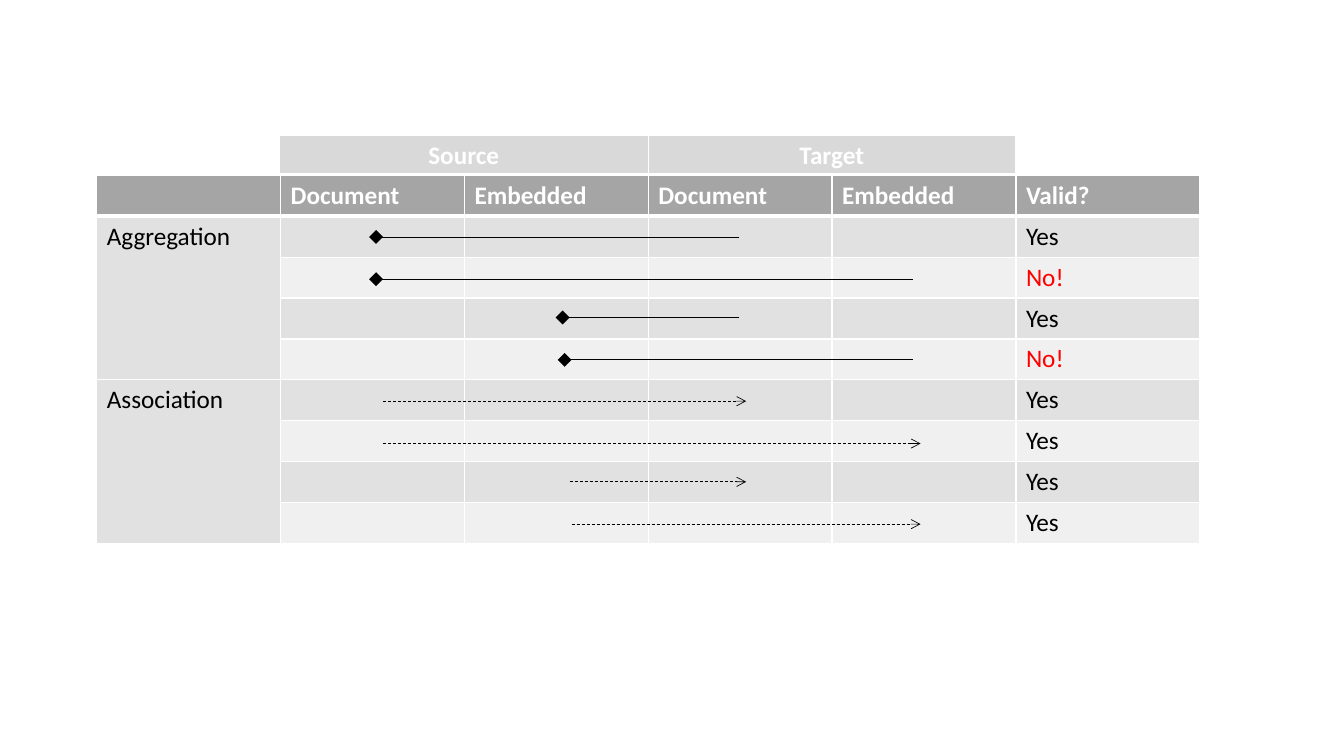
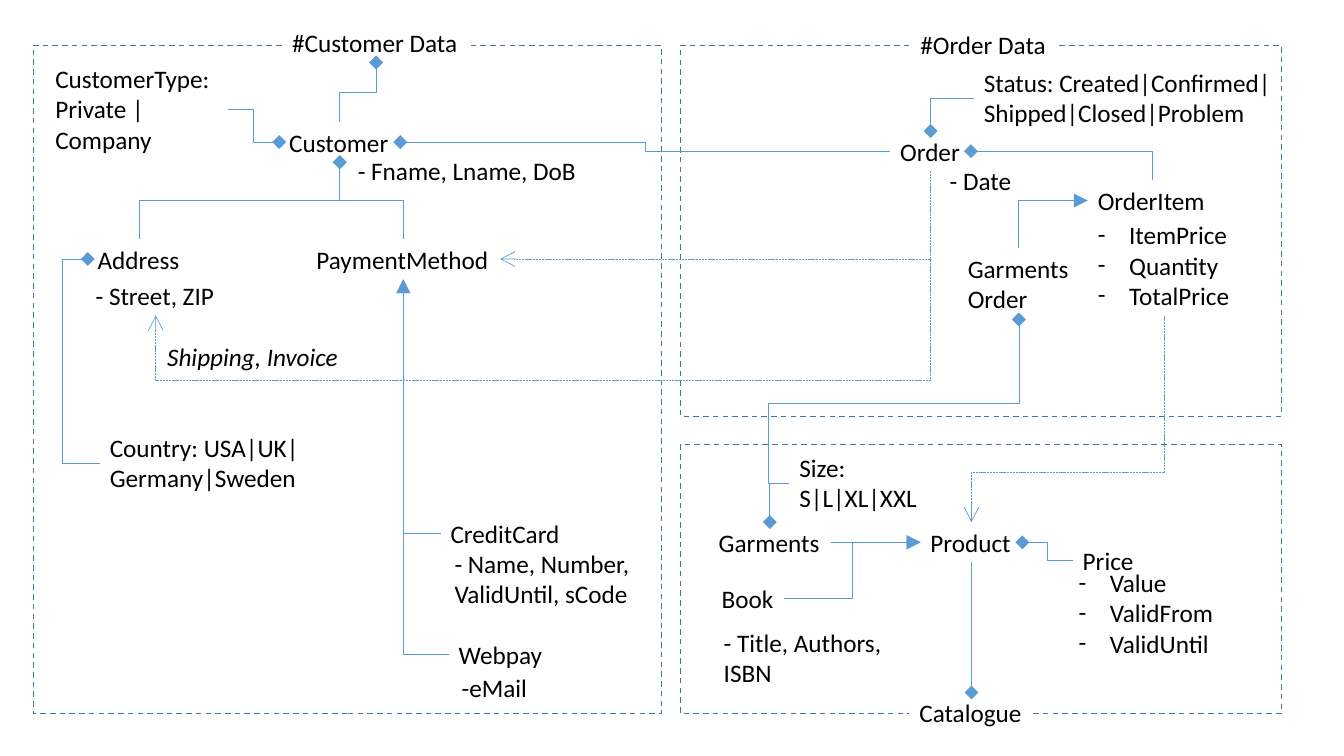
"""Build a table of valid relations and a data model diagram."""
from lxml.etree import SubElement
from pptx import Presentation
from pptx.dml.color import RGBColor
from pptx.enum.dml import MSO_LINE
from pptx.enum.shapes import MSO_CONNECTOR as CONNECTOR, MSO_SHAPE as SHAPE
from pptx.enum.text import MSO_ANCHOR as ANCHOR, MSO_AUTO_SIZE as AUTO_SIZE, PP_ALIGN as ALIGN
from pptx.oxml.ns import qn
from pptx.util import Inches, Pt

color = RGBColor.from_string
FONT = "Calibri"
BLACK, WHITE, RED = "000000", "FFFFFF", "FF0000"
HEADER, BAND, DARK_ROW, LIGHT_ROW = "A5A5A5", "D9D9D9", "E1E1E1", "F0F0F0"
LINK, PANEL = "5B9BD5", "43739E"


def write(frame, text, ink=BLACK, bold=False, italic=False, align=None, bullet=None):
    frame.text = text
    for paragraph in frame.paragraphs:
        paragraph.alignment = align
        if bullet:
            properties = paragraph._p.get_or_add_pPr()
            properties.set("marL", str(Inches(0.31)))
            properties.set("indent", str(-Inches(0.31)))
            SubElement(properties, qn("a:buFont")).set("typeface", FONT)
            SubElement(properties, qn("a:buChar")).set("char", bullet)
        for run in paragraph.runs:
            run.font.name, run.font.size = FONT, Pt(18)
            run.font.bold, run.font.italic = bold, italic
            run.font.color.rgb = color(ink)


def style_connector(connector, ink, dash=None, head=None, tail=None, size="lg"):
    connector.line.color.rgb = color(ink)
    connector.line.width = Pt(0.5)
    connector.line.dash_style = dash
    for tag, kind in (("a:headEnd", head), ("a:tailEnd", tail)):
        if kind:
            tip = SubElement(connector.line._get_or_add_ln(), qn(tag))
            tip.set("type", kind)
            tip.set("w", size)
            tip.set("len", size)
    SubElement(connector._element.spPr, qn("a:effectLst"))


presentation = Presentation()
presentation.slide_width, presentation.slide_height = Inches(13.33), Inches(7.5)
blank = presentation.slide_layouts[6]

slide = presentation.slides.add_slide(blank)
rows = [
    ["", "Document", "Embedded", "Document", "Embedded", "Valid?"],
    *[[name, "", "", "", "", valid]
      for name, valid in zip(
          ["Aggregation", "", "", "", "Association", "", "", ""],
          ["Yes", "No!", "Yes", "No!", "Yes", "Yes", "Yes", "Yes"])],
]
table = slide.shapes.add_table(
    9, 6, Inches(0.96), Inches(1.74), Inches(10.94), Inches(3.65)).table
table.first_row = table.horz_banding = False
for row_index, row in enumerate(rows):
    for column_index, text in enumerate(row):
        cell = table.cell(row_index, column_index)
        is_header = row_index == 0
        ink = WHITE if is_header else RED if text == "No!" else BLACK
        write(cell.text_frame, text, ink=ink, bold=is_header)
        for side in "LRTB":
            border = SubElement(cell._tc.get_or_add_tcPr(), qn("a:ln" + side))
            thick = (is_header and side == "B") or (row_index == 1 and side == "T")
            border.set("w", str(Pt(3 if thick else 1)))
            SubElement(SubElement(border, qn("a:solidFill")), qn("a:srgbClr")).set("val", WHITE)
        dark = row_index % 2 == 1 or column_index == 0
        cell.fill.solid()
        cell.fill.fore_color.rgb = color(HEADER if is_header else DARK_ROW if dark else LIGHT_ROW)
for first_row in (1, 5):
    table.cell(first_row, 0).merge(table.cell(first_row + 3, 0))

for text, left, width in (("Source", 2.77, 3.66), ("Target", 6.43, 3.64)):
    heading = slide.shapes.add_shape(
        SHAPE.RECTANGLE, Inches(left), Inches(1.34), Inches(width), Inches(0.38))
    heading.shadow.inherit = False
    heading.fill.solid()
    heading.fill.fore_color.rgb = color(BAND)
    heading.line.color.rgb = color(WHITE)
    heading.line.width = Pt(1)
    heading.text_frame.vertical_anchor = ANCHOR.MIDDLE
    write(heading.text_frame, text, ink=WHITE, bold=True, align=ALIGN.CENTER)

relations = [(3.73, 7.33, 2.35), (3.73, 9.06, 2.77), (5.58, 7.33, 3.15), (5.6, 9.06, 3.57)]
relation_styles = [
    (0, 0, dict(head="diamond")),
    (0.07, 1.63, dict(dash=MSO_LINE.DASH, tail="arrow", size="med")),
]
for shift, drop, style in relation_styles:
    for start, end, height in relations:
        relation = slide.shapes.add_connector(
            CONNECTOR.STRAIGHT, Inches(start + shift), Inches(height + drop),
            Inches(end + shift), Inches(height + drop))
        style_connector(relation, BLACK, **style)

slide = presentation.slides.add_slide(blank)
for left, top, width, height in (
        (0.33, 0.45, 6.23, 6.63), (6.75, 0.45, 5.96, 3.68), (6.75, 4.41, 5.96, 2.67)):
    panel = slide.shapes.add_shape(
        SHAPE.RECTANGLE, Inches(left), Inches(top), Inches(width), Inches(height))
    panel.shadow.inherit = False
    panel.fill.background()
    panel.line.color.rgb = color(PANEL)
    panel.line.width = Pt(1)
    panel.line.dash_style = MSO_LINE.DASH

labels = [
    ("customer data", "#Customer Data", 2.8, 0.22, 1.86, 0.4),
    ("customer type", "CustomerType:\nPrivate |\nCompany", 0.45, 0.58, 1.81, 1.01),
    ("customer", "Customer", 2.77, 1.21, 1.2, 0.4),
    ("customer fields", "- Fname, Lname, DoB", 3.45, 1.49, 2.39, 0.4),
    ("address", "Address", 0.87, 2.37, 1.02, 0.4),
    ("address fields", "- Street, ZIP", 0.85, 2.73, 1.39, 0.4),
    ("address use", "Shipping, Invoice", 1.56, 3.34, 1.94, 0.4),
    ("country", "Country: USA|UK|\nGermany|Sweden", 0.99, 4.24, 2.09, 0.71),
    ("payment", "PaymentMethod", 3.04, 2.37, 1.92, 0.4),
    ("card", "CreditCard", 4.37, 5.09, 1.3, 0.4),
    ("card fields", "- Name, Number,\vValidUntil, sCode", 4.41, 5.39, 1.96, 0.71),
    ("wallet", "Webpay", 4.45, 6.29, 1.1, 0.4),
    ("wallet fields", "-eMail", 4.48, 6.62, 0.86, 0.4),
    ("order data", "#Order Data", 9.03, 0.24, 1.46, 0.4),
    ("status", "Status: Created|Confirmed|\nShipped|Closed|Problem", 9.66, 0.62, 3.08, 0.71),
    ("order", "Order", 8.83, 1.3, 0.8, 0.4),
    ("order fields", "- Date", 9.32, 1.59, 0.82, 0.4),
    ("item", "OrderItem", 10.79, 1.79, 1.27, 0.4),
    ("item fields", "ItemPrice\nQuantity\nTotalPrice", 10.79, 2.13, 1.52, 1.01),
    ("garments order", "Garments\vOrder", 9.5, 2.46, 1.21, 0.71),
    ("size", "Size:\nS|L|XL|XXL", 7.83, 4.44, 1.38, 0.71),
    ("garments", "Garments", 7.03, 5.18, 1.21, 0.4),
    ("book", "Book", 7.06, 5.74, 0.72, 0.4),
    ("book fields", "- Title, Authors,\vISBN", 7.08, 6.17, 1.94, 0.71),
    ("product", "Product", 9.13, 5.18, 1.01, 0.4),
    ("price fields", "Value\nValidFrom\nValidUntil", 10.6, 5.58, 1.55, 1.01),
    ("price", "Price", 10.64, 5.36, 0.71, 0.4),
    ("catalogue", "Catalogue", 9.02, 6.87, 1.23, 0.4),
]
filled = {"customer data", "order data", "garments order", "garments", "book",
          "product", "price fields", "catalogue"}
bulleted = {"item fields", "price fields"}
boxes = {}
for name, text, left, top, width, height in labels:
    box = slide.shapes.add_textbox(Inches(left), Inches(top), Inches(width), Inches(height))
    box.text_frame.word_wrap = name == "book fields"
    box.text_frame.auto_size = AUTO_SIZE.SHAPE_TO_FIT_TEXT
    if name in filled:
        box.fill.solid()
        box.fill.fore_color.rgb = color(WHITE)
    write(box.text_frame, text, italic=name == "address use",
          bullet="-" if name in bulleted else None)
    boxes[name] = box

sides = ["top", "left", "bottom", "right"]
diamond, triangle = dict(head="diamond"), dict(head="triangle")
reference = dict(tail="arrow", dash=MSO_LINE.SQUARE_DOT)
links = [
    ("customer data", "bottom", "customer", "top", diamond, [0.5]),
    ("customer", "left", "customer type", "right", diamond, [0.5]),
    ("customer", "bottom", "address", "top", diamond, [0.5]),
    ("customer", "bottom", "payment", "top", diamond, [0.5]),
    ("customer", "right", "order", "left", diamond, [0.5]),
    ("address", "left", "country", "left", diamond, [-2.09]),
    ("order", "bottom", "address fields", "bottom", reference, [1.45]),
    ("order", "bottom", "payment", "right", reference, []),
    ("payment", "bottom", "card", "left", triangle, []),
    ("payment", "bottom", "wallet", "left", triangle, []),
    ("order", "right", "item", "top", diamond, []),
    ("order", "top", "status", "left", diamond, []),
    ("item", "left", "garments order", "top", triangle, []),
    ("garments order", "bottom", "size", "left", diamond, [0.51, 1.09]),
    ("garments", "top", "size", "left", diamond, []),
    ("product", "left", "garments", "right", triangle, [0.5]),
    ("product", "left", "book", "right", triangle, [0.5]),
    ("product", "right", "price", "left", diamond, [0.5]),
    ("item fields", "bottom", "product", "top", reference, [0.76]),
    ("catalogue", "top", "product", "bottom", diamond, [0.5]),
]
for start_name, start_side, end_name, end_side, style, bends in links:
    link = slide.shapes.add_connector(CONNECTOR.ELBOW, 0, 0, 0, 0)
    link.begin_connect(boxes[start_name], sides.index(start_side))
    link.end_connect(boxes[end_name], sides.index(end_side))
    across, down = link.end_x - link.begin_x, link.end_y - link.begin_y
    middle_x, middle_y = (link.begin_x + link.end_x) // 2, (link.begin_y + link.end_y) // 2
    vertical = start_side in ("top", "bottom")
    along, aside = (down, -across) if vertical else (across, down)
    link.width, link.height = abs(along), abs(aside)
    link.left, link.top = middle_x - abs(along) // 2, middle_y - abs(aside) // 2
    frame = link._element.spPr.find(qn("a:xfrm"))
    frame.set("rot", "5400000" if vertical else "0")
    frame.set("flipH", str(int(along < 0)))
    frame.set("flipV", str(int(aside < 0)))
    geometry = link._element.spPr.find(qn("a:prstGeom"))
    geometry.set("prst", f"bentConnector{len(bends) + 2}")
    guides = geometry.find(qn("a:avLst"))
    if guides is None:
        guides = SubElement(geometry, qn("a:avLst"))
    for number, bend in enumerate(bends, 1):
        guide = SubElement(guides, qn("a:gd"))
        guide.set("name", f"adj{number}")
        guide.set("fmla", f"val {round(bend * 100000)}")
    style_connector(link, LINK, **style)

presentation.save("out.pptx")
